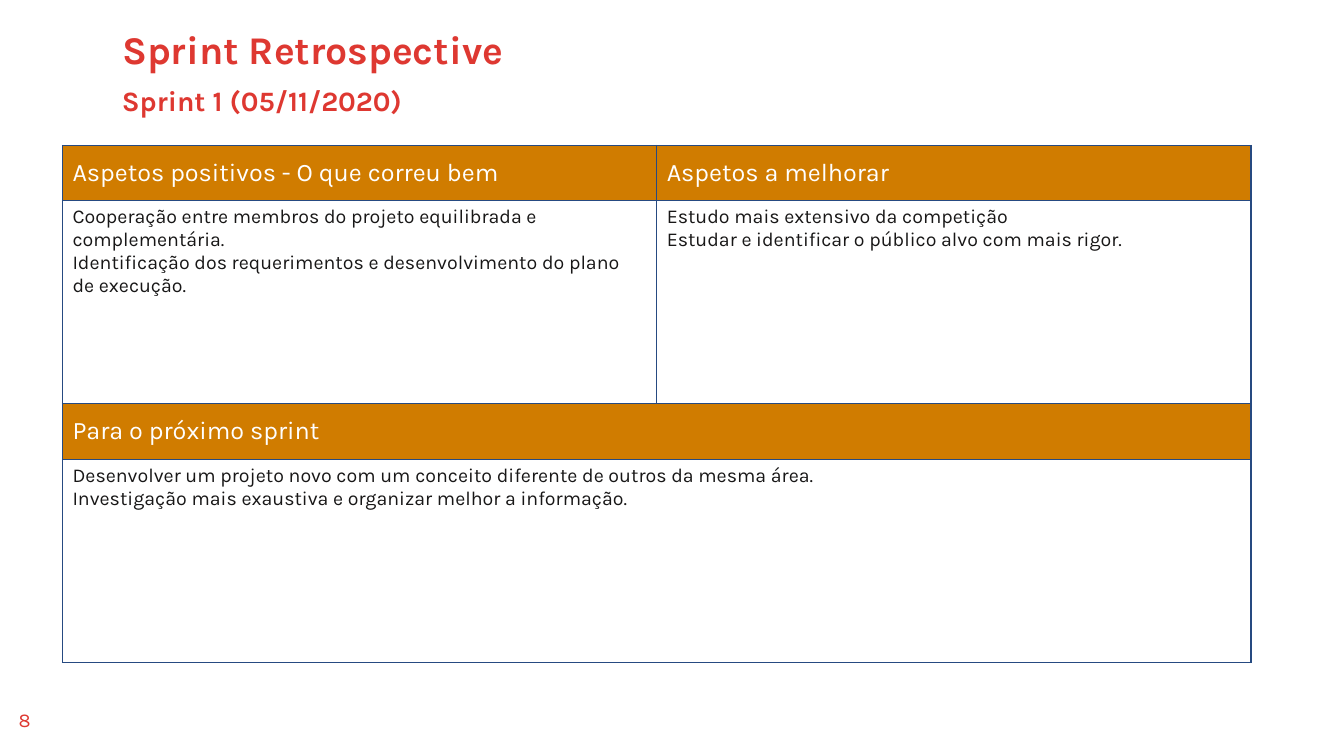
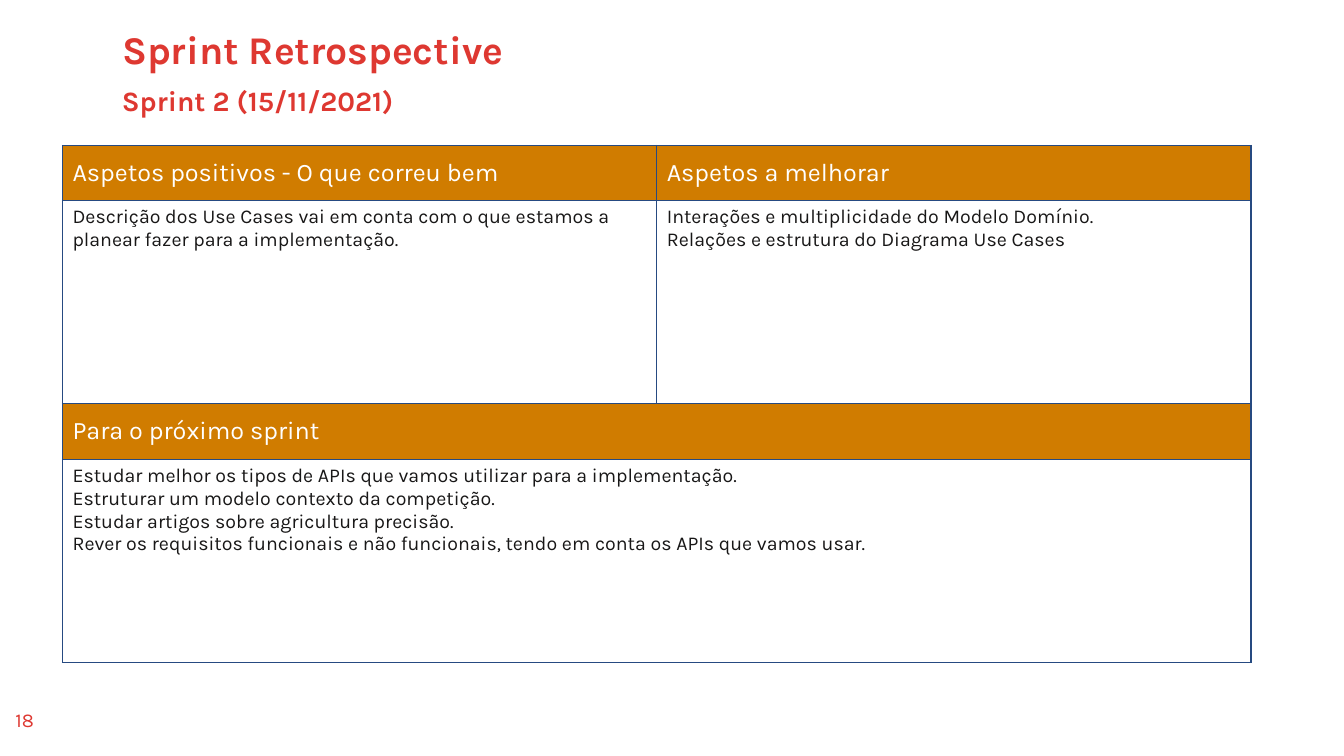
import pptx
import pptx.util
import pptx.dml.color
import pptx.enum.text
import pptx.oxml
import pptx.oxml.ns

Pt = pptx.util.Pt
Align = pptx.enum.text.PP_ALIGN
Anchor = pptx.enum.text.MSO_ANCHOR

TITLE = "Sprint Retrospective"
HEADS = ("Aspetos positivos - O que correu bem", "Aspetos a melhorar", "Para o próximo sprint")
SPRINTS = [
    {
        "page": "8",
        "name": "Sprint 1 (05/11/2020)",
        "good": [
            "Cooperação entre membros do projeto equilibrada e complementária.",
            "Identificação dos requerimentos e desenvolvimento do plano de execução.",
        ],
        "bad": [
            "Estudo mais extensivo da competição",
            "Estudar e identificar o público alvo com mais rigor.",
        ],
        "next": [
            "Desenvolver um projeto novo com um conceito diferente de outros da mesma área.",
            "Investigação mais exaustiva e organizar melhor a informação.",
        ],
    },
    {
        "page": "18",
        "name": "Sprint 2 (15/11/2021)",
        "good": [
            "Descrição dos Use Cases vai em conta com o que estamos a planear fazer para a implementação.",
        ],
        "bad": [
            "Interações e multiplicidade do Modelo Domínio.",
            "Relações e estrutura do Diagrama Use Cases",
        ],
        "next": [
            "Estudar melhor os tipos de APIs que vamos utilizar para a implementação.",
            "Estruturar um modelo contexto da competição.",
            "Estudar artigos sobre agricultura precisão.",
            "Rever os requisitos funcionais e não funcionais, tendo em conta os APIs que vamos usar.",
        ],
    },
]

COLORS = {"red": "DE3831", "head": "D07C00", "line": "264A81", "ink": "181717", "white": "FFFFFF"}
FONTS = {
    "title": ("red", {"size": Pt(28), "bold": True}),
    "sub": ("red", {"size": Pt(20), "bold": True}),
    "page": ("red", {"size": Pt(14), "bold": False}),
    "head": ("white", {"size": Pt(18), "bold": False}),
    "body": ("ink", {"size": Pt(14), "bold": False}),
}
PARAS = {
    "title": {"alignment": Align.LEFT, "line_spacing": 0.9},
    "sub": {"alignment": Align.LEFT, "line_spacing": 0.9},
    "page": {"alignment": Align.CENTER},
    "head": {"alignment": Align.LEFT},
    "body": {"alignment": Align.LEFT},
}
FRAME = {
    "word_wrap": True,
    "auto_size": pptx.enum.text.MSO_AUTO_SIZE.NONE,
    "vertical_anchor": Anchor.TOP,
    "margin_left": Pt(7.2),
    "margin_right": Pt(7.2),
    "margin_top": Pt(3.6),
    "margin_bottom": Pt(3.6),
}
BOXES = {
    "title": (80, 18, 750, 32.4),
    "sub": (80, 59, 750, 30),
    "page": (0.7, 502, 33.8, 28.8),
}
LEFT, TOP, WIDTH = 44.6, 103.9, 849
ROWS = (39.6, 145, 39.6, 145)


def color(key):
    return pptx.dml.color.RGBColor.from_string(COLORS[key])


def apply(item, values):
    for key, value in values.items():
        setattr(item, key, value)


def write(frame, lines, style):
    tone, values = FONTS[style]
    for num, line in enumerate(lines):
        para = frame.paragraphs[0] if num == 0 else frame.add_paragraph()
        apply(para, PARAS[style])
        run = para.add_run()
        run.text = line
        apply(run.font, {"name": "Karla", **values})
        run.font.color.rgb = color(tone)


def label(shape, text, style):
    sides = ("left", "top", "width", "height")
    apply(shape, dict(zip(sides, map(Pt, BOXES[style]))))
    apply(shape.text_frame, FRAME)
    write(shape.text_frame, [text], style)


def border(cell):
    props = cell._tc.get_or_add_tcPr()
    for side in ("lnL", "lnR", "lnT", "lnB"):
        props.append(pptx.oxml.parse_xml(
            f'<a:{side} {pptx.oxml.ns.nsdecls("a")} w="{Pt(1)}"><a:solidFill>'
            f'<a:srgbClr val="{COLORS["line"]}"/></a:solidFill></a:{side}>'
        ))


def grid(slide, sprint):
    rows = [
        [[HEADS[0]], [HEADS[1]]],
        [sprint["good"], sprint["bad"]],
        [[HEADS[2]]],
        [sprint["next"]],
    ]
    table = slide.shapes.add_table(
        len(rows), 2, Pt(LEFT), Pt(TOP), Pt(WIDTH), Pt(sum(ROWS))
    ).table
    apply(table, {"first_row": False, "horz_banding": False})
    for col in table.columns:
        col.width = Pt(WIDTH / 2)
    for r, row in enumerate(rows):
        table.rows[r].height = Pt(ROWS[r])
        style = "body" if r % 2 else "head"
        for c in range(2):
            cell = table.cell(r, c)
            border(cell)
            cell.fill.solid()
            cell.fill.fore_color.rgb = color("white" if r % 2 else "head")
            cell.vertical_anchor = Anchor.TOP if r % 2 else Anchor.MIDDLE
            if c < len(row):
                write(cell.text_frame, row[c], style)
        if len(row) == 1:
            table.cell(r, 0).merge(table.cell(r, 1))


def build(deck, sprint):
    slide = deck.slides.add_slide(deck.slide_layouts[5])
    label(slide.shapes.title, TITLE, "title")
    for style, key in (("sub", "name"), ("page", "page")):
        label(slide.shapes.add_textbox(0, 0, 0, 0), sprint[key], style)
    grid(slide, sprint)


def main():
    deck = pptx.Presentation()
    apply(deck, {"slide_width": Pt(960), "slide_height": Pt(540)})
    for sprint in SPRINTS:
        build(deck, sprint)
    deck.save("out.pptx")


if __name__ == "__main__":
    main()
